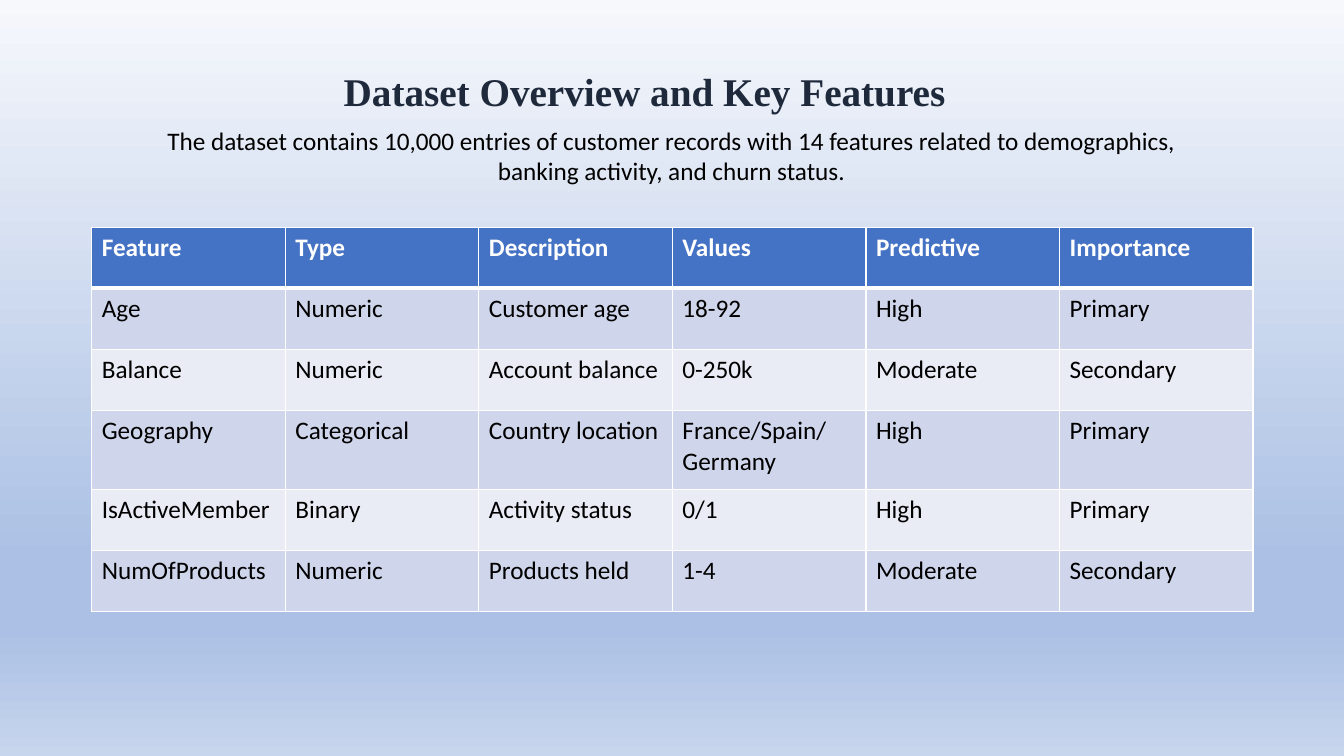
from lxml.etree import SubElement as Sub
from pptx import Presentation
from pptx.dml.color import RGBColor as Rgb
from pptx.enum.text import MSO_AUTO_SIZE as Auto, PP_ALIGN as Align
from pptx.oxml.ns import qn
from pptx.util import Inches, Pt

WIDE, HIGH = 13.33, 7.5
HUES = {
    "head": "4472C4", "odd": "CFD5EA", "even": "E9EBF5", "rule": "FFFFFF",
    "title": "1E293B", "text": "000000",
    "top": "F6F8FC", "deep": "ABC0E4", "foot": "C7D5ED",
}
STOPS = [(0, "top"), (74, "deep"), (83, "deep"), (100, "foot")]
ROWS = [
    ["Feature", "Type", "Description", "Values", "Predictive", "Importance"],
    ["Age", "Numeric", "Customer age", "18-92", "High", "Primary"],
    ["Balance", "Numeric", "Account balance", "0-250k", "Moderate", "Secondary"],
    ["Geography", "Categorical", "Country location", "France/Spain/ Germany", "High", "Primary"],
    ["IsActiveMember", "Binary", "Activity status", "0/1", "High", "Primary"],
    ["NumOfProducts", "Numeric", "Products held", "1-4", "Moderate", "Secondary"],
]
TALL = [0.6, 0.61, 0.61, 0.79, 0.61, 0.61]


def write(frame, text, size=18, font="Calibri", hue="text", bold=False,
          align=Align.LEFT, after=0):
    frame.word_wrap = True
    para = frame.paragraphs[0]
    para.alignment = align
    para.space_after = Pt(after)
    run = para.add_run()
    run.text = text
    run.font.size = Pt(size)
    run.font.name = font
    run.font.bold = bold
    run.font.color.rgb = Rgb.from_string(HUES[hue])


def paint(slide):
    fill = slide.background.fill
    fill.gradient()
    fill.gradient_angle = 270
    stops = next(slide.element.iter(qn("a:gsLst")))
    stops.clear()
    for place, hue in STOPS:
        stop = Sub(stops, qn("a:gs"), pos=str(place * 1000))
        Sub(stop, qn("a:srgbClr"), val=HUES[hue])


def label(slide, box, text, **style):
    frame = slide.shapes.add_textbox(*map(Inches, box)).text_frame
    write(frame, text, align=Align.CENTER, **style)
    frame.auto_size = Auto.SHAPE_TO_FIT_TEXT


def edge(cell, row):
    props = cell._tc.get_or_add_tcPr()
    wide = {"T": 3 if row == 1 else 1, "B": 3 if row == 0 else 1}
    for spot, side in enumerate("LRTB"):
        line = Sub(props, qn(f"a:ln{side}"), w=str(Pt(wide.get(side, 1))))
        Sub(Sub(line, qn("a:solidFill")), qn("a:srgbClr"), val=HUES["rule"])
        props.insert(spot, line)


def grid(slide, box):
    table = slide.shapes.add_table(len(ROWS), len(ROWS[0]), *map(Inches, box)).table
    for col in table.columns:
        col.width = Inches(box[2] / len(ROWS[0]))
    for row, words in enumerate(ROWS):
        table.rows[row].height = Inches(box[3] * TALL[row] / sum(TALL))
        back = "head" if row == 0 else "odd" if row % 2 else "even"
        for col, word in enumerate(words):
            cell = table.cell(row, col)
            cell.fill.solid()
            cell.fill.fore_color.rgb = Rgb.from_string(HUES[back])
            write(cell.text_frame, word, bold=row == 0, hue="text" if row else "rule")
            edge(cell, row)


def main():
    deck = Presentation()
    deck.slide_width, deck.slide_height = Inches(WIDE), Inches(HIGH)
    slide = deck.slides.add_slide(deck.slide_layouts[6])
    paint(slide)
    label(slide, (3.06, 0.62, WIDE * 0.5, 0.57), "Dataset Overview and Key Features",
          size=28, font="Times New Roman", hue="title", bold=True, after=15)
    label(slide, (1.47, 1.19, 10.38, 0.71),
          "The dataset contains 10,000 entries of customer records with 14 features "
          "related to demographics, banking activity, and churn status.")
    grid(slide, (0.91, 2.26, 11.52, 3.81))
    deck.save("out.pptx")


if __name__ == "__main__":
    main()
